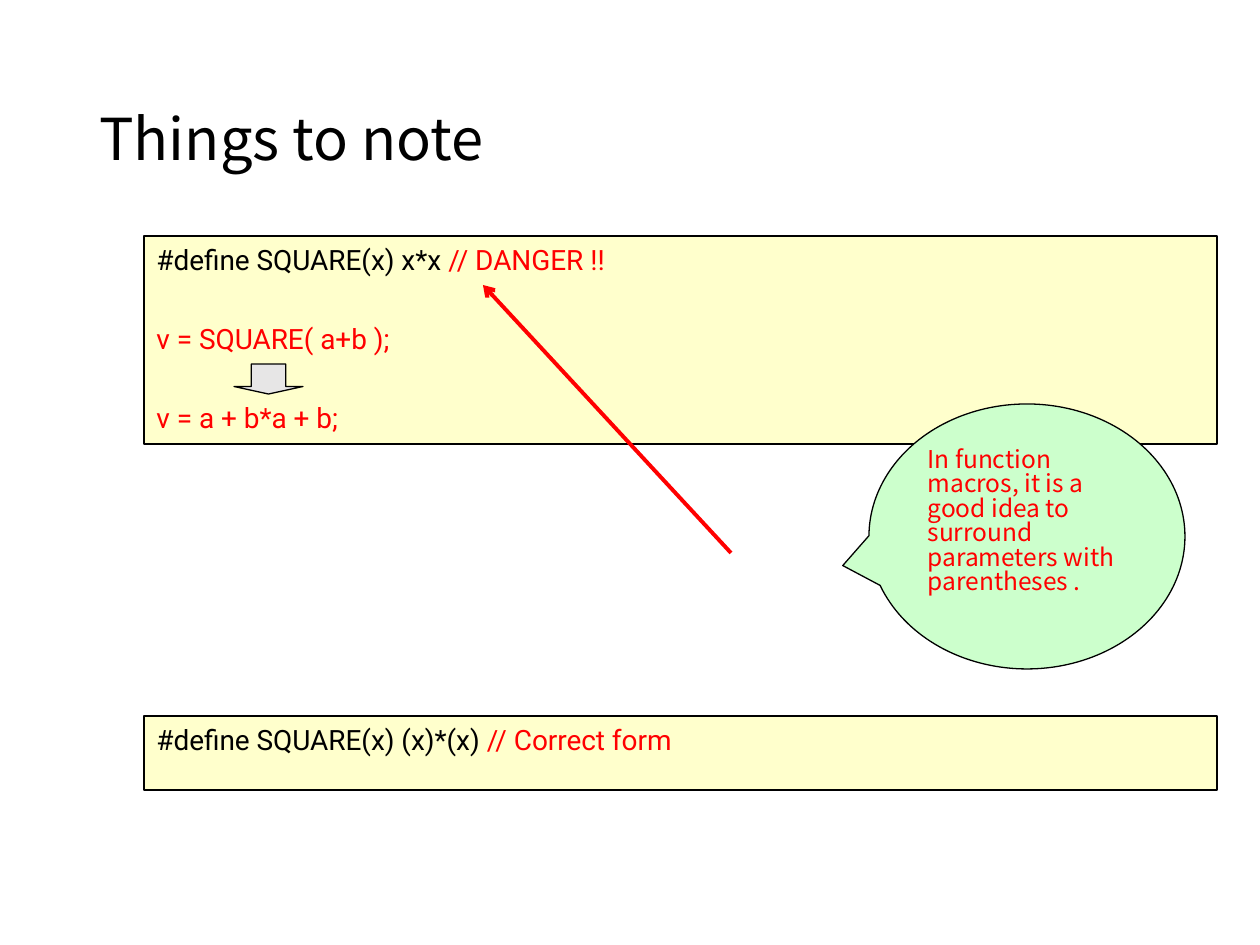
"""Build a slide on the pitfalls of function macros."""
from lxml.etree import SubElement
from pptx import Presentation
from pptx.dml.color import RGBColor
from pptx.enum.shapes import MSO_CONNECTOR, MSO_SHAPE
from pptx.enum.text import MSO_ANCHOR, PP_ALIGN
from pptx.oxml.ns import qn
from pptx.util import Pt

INK = {"black": "000000", "red": "FF0000", "cream": "FFFFCC",
       "gray": "E7E6E6", "mint": "CCFFCC"}
SANS, CODE = "Noto Sans CJK KR", "Roboto"


def px(*nums):
    return [round(n * 914400 / 126) for n in nums]


def draw(kind, box, fill):
    shape = slide.shapes.add_shape(kind, *px(*box))
    shape.shadow.inherit = False
    shape.fill.solid()
    shape.fill.fore_color.rgb = RGBColor.from_string(INK[fill])
    shape.line.color.rgb = RGBColor.from_string(INK["black"])
    shape.line.width = Pt(0.75)
    return shape


deck = Presentation()
deck.slide_width, deck.slide_height = px(1260, 945)
slide = deck.slides.add_slide(deck.slide_layouts[6])

title = slide.shapes.add_textbox(*px(87, 50, 1086, 183)).text_frame
title.word_wrap = True
title.vertical_anchor = MSO_ANCHOR.MIDDLE
head = title.paragraphs[0]
head.text = "Things to note"
head.line_spacing = 0.9
head.font.size, head.font.name = Pt(33), SANS
head.font.color.rgb = RGBColor.from_string(INK["black"])

panels = [
    (236, 208, [[("#define SQUARE(x) x*x ", "black"), ("// DANGER !!", "red")],
                [("v = SQUARE( a+b );", "red")],
                [("v = a + b*a + b;", "red")]]),
    (716, 74, [[("#define SQUARE(x) (x)*(x) ", "black"),
                ("// Correct form", "red")]]),
]
for top, high, lines in panels:
    frame = draw(MSO_SHAPE.RECTANGLE, (144, top, 1073, high), "cream").text_frame
    frame.word_wrap = True
    frame.vertical_anchor = MSO_ANCHOR.TOP
    for i, line in enumerate(lines):
        para = frame.add_paragraph() if i else frame.paragraphs[0]
        para.alignment = PP_ALIGN.LEFT
        if i:
            para.space_before = Pt(26)
        para.font.size, para.font.name = Pt(16), CODE
        for text, tint in line:
            run = para.add_run()
            run.text = text
            run.font.color.rgb = RGBColor.from_string(INK[tint])

draw(MSO_SHAPE.DOWN_ARROW, (234, 364, 69, 30), "gray").adjustments[1] = 0.25

note = draw(MSO_SHAPE.OVAL_CALLOUT, (869, 404, 316, 265), "mint")
note.adjustments[0], note.adjustments[1] = -0.583, 0.11
note.text_frame.word_wrap = True
note.text_frame.vertical_anchor = MSO_ANCHOR.TOP
para = note.text_frame.paragraphs[0]
para.text = ("In function macros, it is a good idea to surround "
             "parameters with parentheses .")
para.alignment = PP_ALIGN.LEFT
para.line_spacing = 0.83
para.font.size, para.font.name = Pt(14), SANS
para.font.color.rgb = RGBColor.from_string(INK["red"])

link = slide.shapes.add_connector(MSO_CONNECTOR.STRAIGHT, *px(731, 553, 483, 285))
link.line.color.rgb = RGBColor.from_string(INK["red"])
link.line.width = Pt(2.25)
SubElement(link.line._get_or_add_ln(), qn("a:tailEnd"), type="arrow")
SubElement(link._element.spPr, qn("a:effectLst"))

deck.save("out.pptx")
